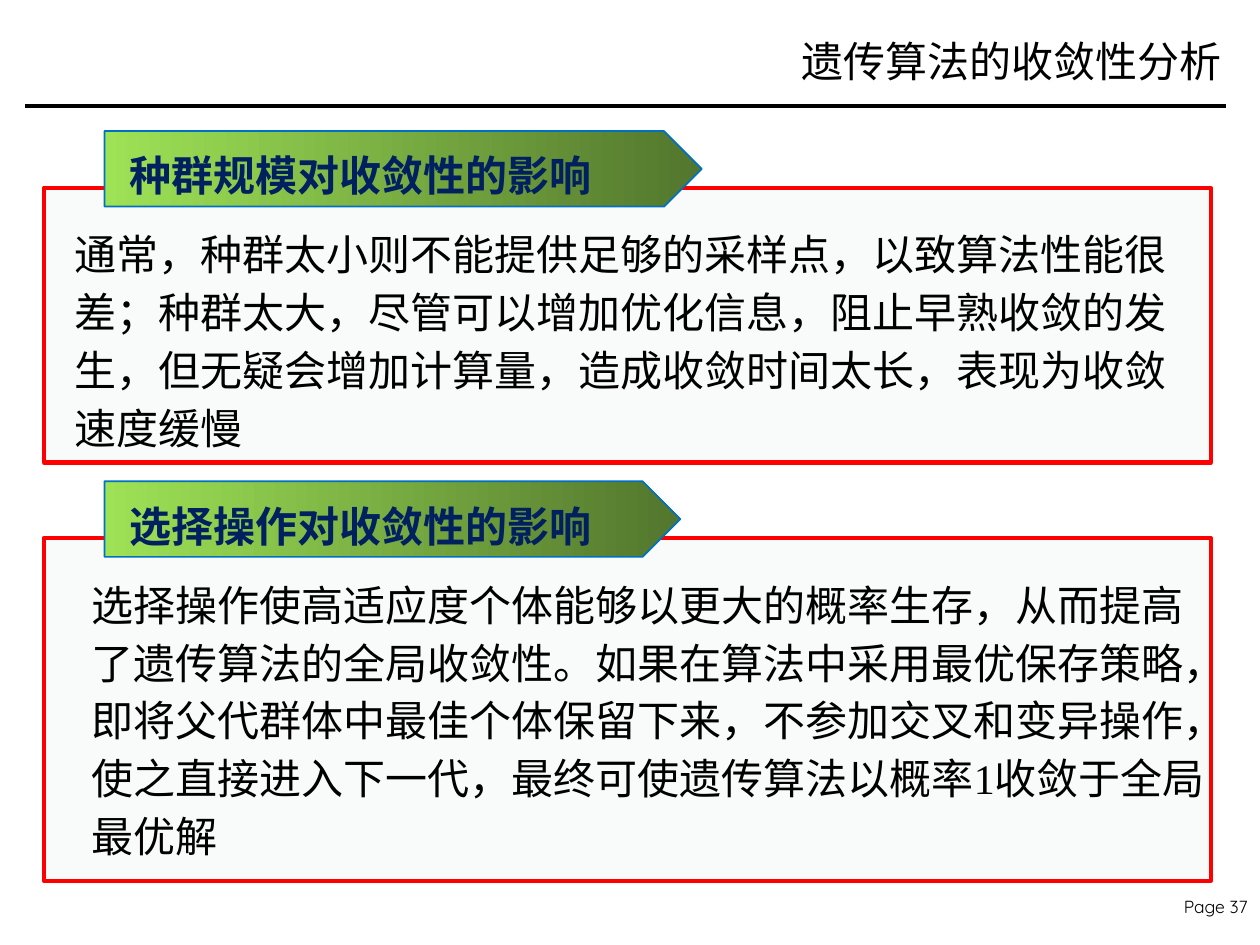
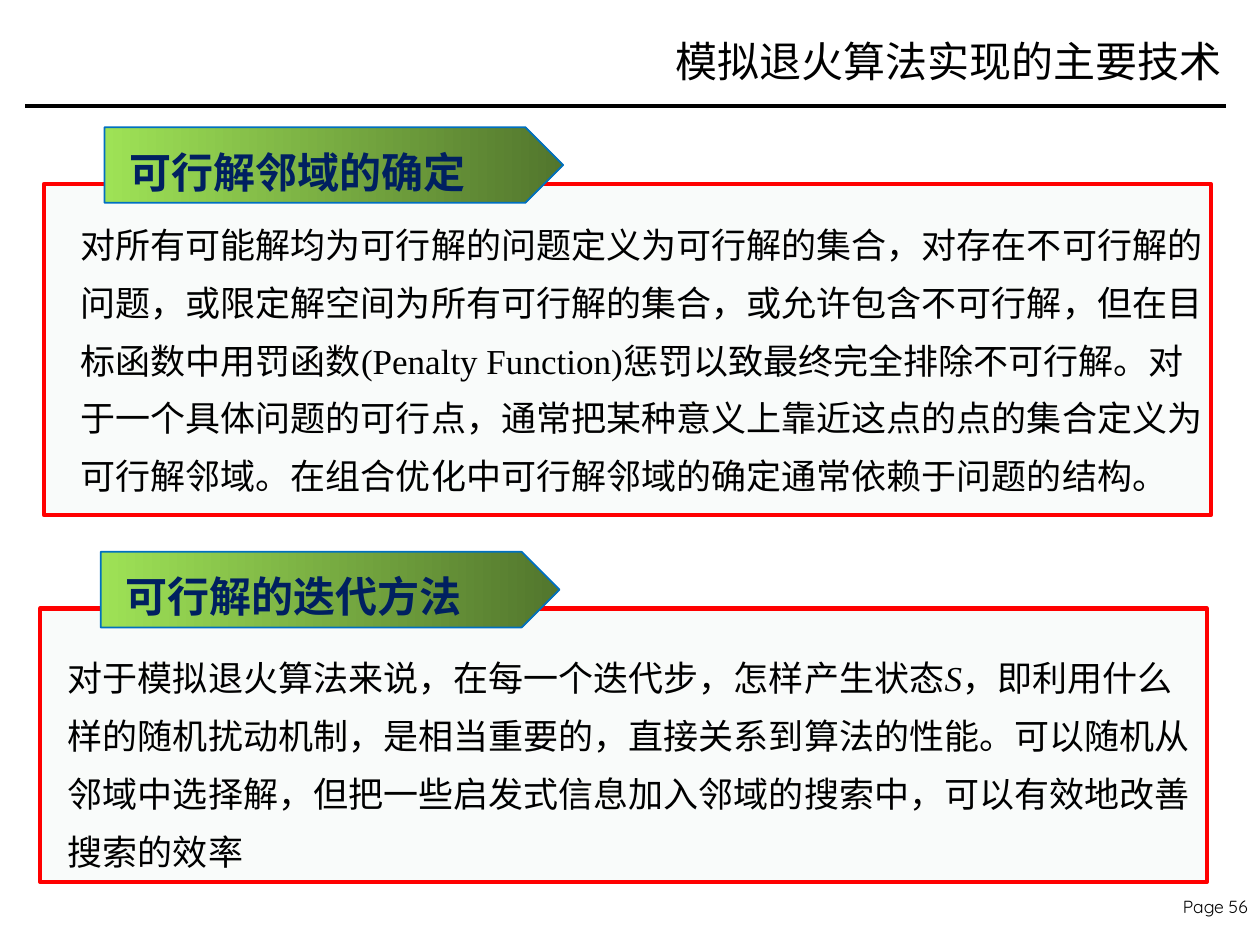
import pptx
import pptx.util
import pptx.dml.color
import pptx.enum.lang
import pptx.enum.shapes
import pptx.enum.text
import pptx.oxml.ns
from lxml import etree

PX = 9144
COLORS = {
    "text": "000000",
    "label": "002060",
    "panel": "F9FBFA",
    "panel_edge": "FF0000",
    "ribbon_start": "9EE256",
    "ribbon_end": "52762D",
    "ribbon_edge": "0070C0",
}
SERIF = "Times New Roman"
FOOTER_FONT = "Quicksand"
LEFT = pptx.enum.text.PP_ALIGN.LEFT
RIGHT = pptx.enum.text.PP_ALIGN.RIGHT

PAGES = [
    {
        "title": "遗传算法的收敛性分析",
        "number": 37,
        "sections": [
            {
                "box": (35, 149, 926, 218),
                "label": "种群规模对收敛性的影响",
                "ribbon_width": 474,
                "body_offset": (14, 22),
                "size": 24,
                "body": ["通常，种群太小则不能提供足够的采样点，以致算法性能很差；"
                         "种群太大，尽管可以增加优化信息，阻止早熟收敛的发生，"
                         "但无疑会增加计算量，造成收敛时间太长，表现为收敛速度缓慢"],
            },
            {
                "box": (35, 427, 926, 272),
                "label": "选择操作对收敛性的影响",
                "ribbon_width": 457,
                "body_offset": (28, 22),
                "size": 24,
                "body": ["选择操作使高适应度个体能够以更大的概率生存，"
                         "从而提高了遗传算法的全局收敛性。如果在算法中采用最优保存策略，"
                         "即将父代群体中最佳个体保留下来，不参加交叉和变异操作，"
                         "使之直接进入下一代，最终可使遗传算法以概率1收敛于全局最优解"],
            },
        ],
    },
    {
        "title": "模拟退火算法实现的主要技术",
        "number": 56,
        "sections": [
            {
                "box": (35, 146, 926, 263),
                "label": "可行解邻域的确定",
                "ribbon_width": 364,
                "body_offset": (19, 14),
                "size": 20,
                "body": ["对所有可能解均为可行解的问题定义为可行解的集合，"
                         "对存在不可行解的问题，或限定解空间为所有可行解的集合，"
                         "或允许包含不可行解，但在目标函数中用罚函数(Penalty Function)"
                         "惩罚以致最终完全排除不可行解。对于一个具体问题的可行点，"
                         "通常把某种意义上靠近这点的点的集合定义为可行解邻域。"
                         "在组合优化中可行解邻域的确定通常依赖于问题的结构。"],
            },
            {
                "box": (32, 483, 926, 217),
                "label": "可行解的迭代方法",
                "ribbon_width": 364,
                "body_offset": (12, 21),
                "size": 20,
                "body": ["对于模拟退火算法来说，在每一个迭代步，怎样产生状态",
                         "S",
                         "，即利用什么样的随机扰动机制，是相当重要的，"
                         "直接关系到算法的性能。可以随机从邻域中选择解，"
                         "但把一些启发式信息加入邻域的搜索中，可以有效地改善搜索的效率"],
                "italic": "S",
            },
        ],
    },
]


def scaled(box):
    return [length * PX for length in box]


def color(name):
    return pptx.dml.color.RGBColor.from_string(COLORS[name])


def add_text(page, box, spans, size, font=SERIF, ink="text", bold=False,
             italic=None, align=LEFT, line_spacing=None):
    frame = page.shapes.add_textbox(*scaled(box)).text_frame
    frame.word_wrap = True
    para = frame.paragraphs[0]
    para.alignment = align
    if line_spacing:
        para.line_spacing = pptx.util.Pt(line_spacing)
    for text in spans:
        span = para.add_run()
        span.text = text
        span.font.name = font
        span.font.size = pptx.util.Pt(size)
        span.font.bold = bold
        span.font.italic = text == italic
        span.font.color.rgb = color(ink)
        span.font.language_id = pptx.enum.lang.MSO_LANGUAGE_ID.SIMPLIFIED_CHINESE
    return frame


def add_outlined(page, kind, box, edge, width):
    shape = page.shapes.add_shape(kind, *scaled(box))
    shape.shadow.inherit = False
    shape.line.color.rgb = color(edge)
    shape.line.width = pptx.util.Pt(width)
    return shape


def add_header(page, title):
    frame = add_text(page, (429, 11, 550, 75), [title], 24, align=RIGHT)
    frame.vertical_anchor = pptx.enum.text.MSO_ANCHOR.MIDDLE
    rule = page.shapes.add_connector(
        pptx.enum.shapes.MSO_CONNECTOR.STRAIGHT, *scaled((20, 84, 973, 84)))
    rule.line.color.rgb = color("text")
    rule.line.width = pptx.util.Pt(2)
    etree.SubElement(rule.element.spPr, pptx.oxml.ns.qn("a:effectLst"))


def add_footer(page, number):
    add_text(page, (920, 706, 80, 26), [f"Page {number}"], 10,
             font=FOOTER_FONT, align=RIGHT)


def add_ribbon(page, left, top, width, label):
    ribbon = add_outlined(page, pptx.enum.shapes.MSO_SHAPE.PENTAGON,
                          (left, top, width, 60), "ribbon_edge", 1)
    ribbon.fill.gradient()
    ribbon.fill.gradient_angle = 0
    for stop, name, position in zip(ribbon.fill.gradient_stops,
                                    ("ribbon_start", "ribbon_end"), (0, 1)):
        stop.color.rgb = color(name)
        stop.position = position
    add_text(page, (left + 10, top + 10, width - 48, 50), [label], 24,
             ink="label", bold=True)


def add_section(page, section):
    left, top, width, height = section["box"]
    panel = add_outlined(page, pptx.enum.shapes.MSO_SHAPE.RECTANGLE,
                         section["box"], "panel_edge", 2.5)
    panel.fill.solid()
    panel.fill.fore_color.rgb = color("panel")
    add_ribbon(page, left + 48, top - 45, section["ribbon_width"], section["label"])
    indent, drop = section["body_offset"]
    add_text(page, (left + indent, top + drop, 912, height - drop),
             section["body"], section["size"], italic=section.get("italic"),
             line_spacing=33)


def main():
    deck = pptx.Presentation()
    deck.slide_width, deck.slide_height = scaled((1000, 750))
    for content in PAGES:
        page = deck.slides.add_slide(deck.slide_layouts[6])
        add_footer(page, content["number"])
        add_header(page, content["title"])
        for section in content["sections"]:
            add_section(page, section)
    deck.save("out.pptx")


if __name__ == "__main__":
    main()
